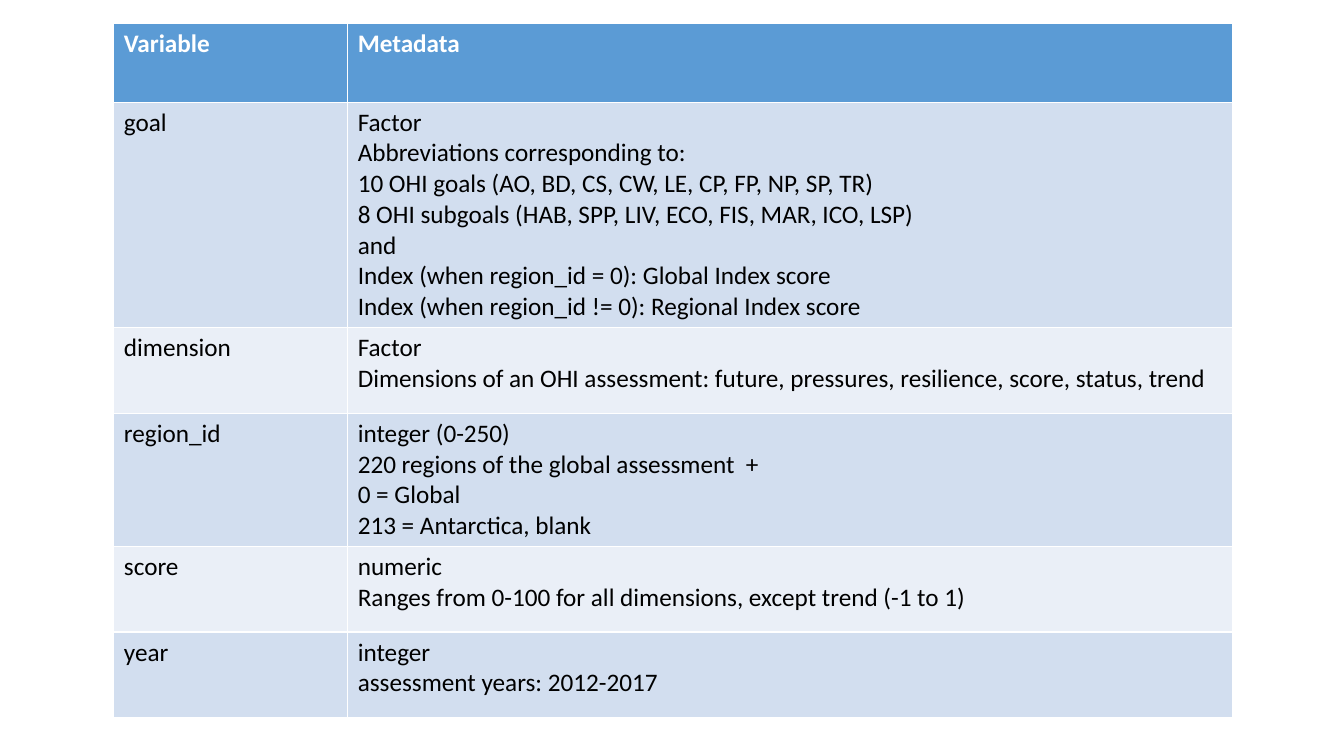
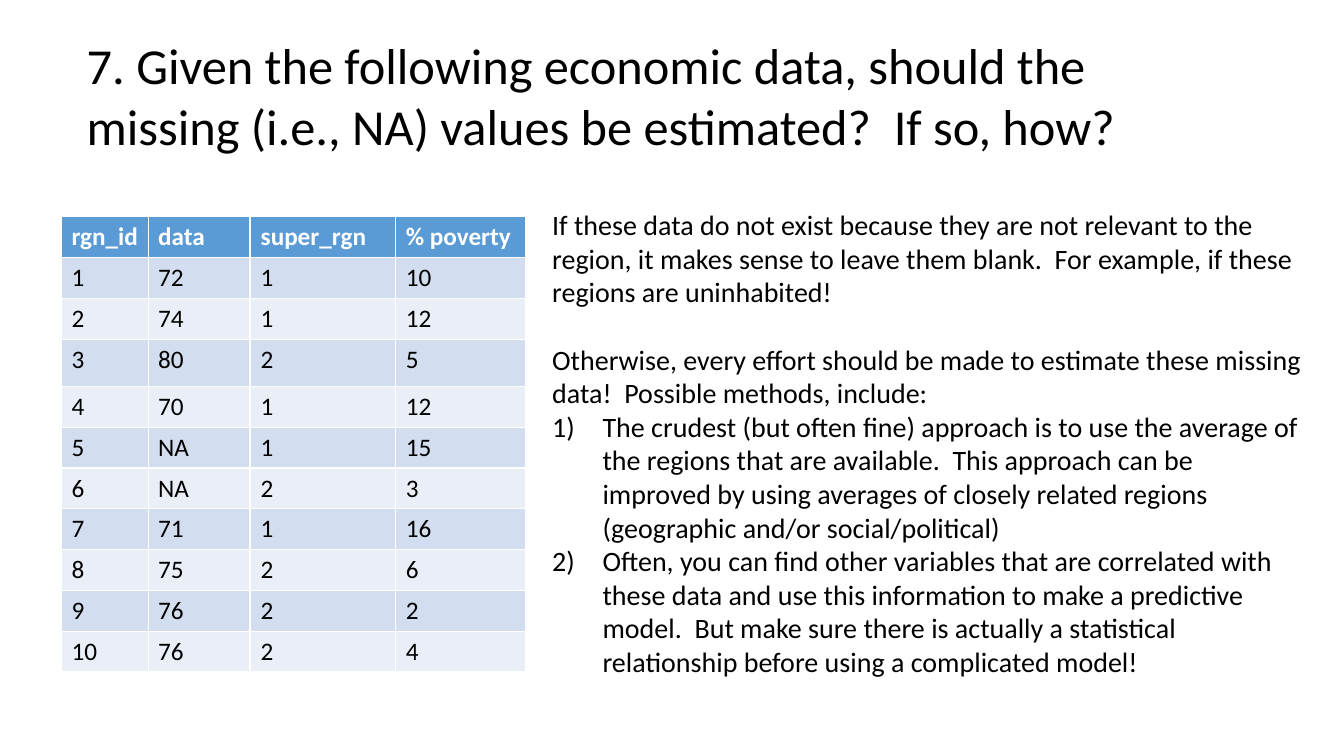
from lxml.etree import SubElement
from pptx import Presentation
from pptx.dml.color import RGBColor
from pptx.enum.text import MSO_ANCHOR, MSO_AUTO_SIZE, PP_ALIGN
from pptx.oxml.ns import qn
from pptx.util import Inches, Pt

BLACK = RGBColor(0x00, 0x00, 0x00)
WHITE = RGBColor(0xFF, 0xFF, 0xFF)
HEADER_BLUE = RGBColor(0x5B, 0x9B, 0xD5)
BAND_DARK = RGBColor(0xD2, 0xDE, 0xEF)
BAND_LIGHT = RGBColor(0xEA, 0xEF, 0xF7)

GRID_COLUMNS, GRID_ROWS = 80, 45
UNIT = Inches(7.5) / GRID_ROWS
TITLE_ONLY, BLANK = 5, 6

TITLE_FONT = {"name": "Calibri", "size": Pt(36), "bold": False}
BODY_FONT = {"name": "Calibri", "size": Pt(20), "bold": False}
CELL_FONT = {"name": "Calibri", "size": Pt(18), "bold": False}
HEADER_FONT = {**CELL_FONT, "bold": True}

METADATA = [
    ("Variable", "Metadata"),
    ("goal", "\n".join([
        "Factor",
        "Abbreviations corresponding to:",
        "10 OHI goals (AO, BD, CS, CW, LE, CP, FP, NP, SP, TR)",
        "8 OHI subgoals (HAB, SPP, LIV, ECO, FIS, MAR, ICO, LSP)",
        "and",
        "Index (when region_id = 0): Global Index score",
        "Index (when region_id != 0): Regional Index score",
    ])),
    ("dimension", "Factor\nDimensions of an OHI assessment: future, pressures, "
                  "resilience, score, status, trend"),
    ("region_id", "integer (0-250)\n220 regions of the global assessment  +\n"
                  "0 = Global\n213 = Antarctica, blank"),
    ("score", "numeric\nRanges from 0-100 for all dimensions, except trend (-1 to 1)"),
    ("year", "integer\nassessment years: 2012-2017"),
]

REGION_VALUES = [72, 74, 80, 70, "NA", "NA", 71, 75, 76, 76]
REGION_DATA = [("rgn_id", "data"), *enumerate(REGION_VALUES, start=1)]
POVERTY_DATA = [
    ("super_rgn", "% poverty"),
    (1, 10), (1, 12), (2, 5), (1, 12), (1, 15),
    (2, 3), (1, 16), (2, 6), (2, 2), (2, 4),
]

ANSWERS = [
    "If these data do not exist because they are not relevant to the region, it makes "
    "sense to leave them blank.  For example, if these regions are uninhabited!",
    "Otherwise, every effort should be made to estimate these missing data!  "
    "Possible methods, include:",
]
METHODS = [
    "The crudest (but often fine) approach is to use the average of the regions that are "
    "available.  This approach can be improved by using averages of closely related "
    "regions (geographic and/or social/political)",
    "Often, you can find other variables that are correlated with these data and use this "
    "information to make a predictive model.  But make sure there is actually a "
    "statistical relationship before using a complicated model!",
]


class Deck:
    """Holds the shared style and the current slide, measured in grid units."""

    def __init__(self):
        self.presentation = Presentation()
        self.presentation.slide_width = self.length(GRID_COLUMNS)
        self.presentation.slide_height = self.length(GRID_ROWS)
        self.slide = None

    def length(self, units):
        return round(units * UNIT)

    def add_slide(self, layout):
        self.slide = self.presentation.slides.add_slide(
            self.presentation.slide_layouts[layout])

    def format_font(self, font, values, color):
        for name, value in values.items():
            setattr(font, name, value)
        font.color.rgb = color

    def title(self, text, left, top, width, height):
        shape = self.slide.shapes.title
        place = {"left": left, "top": top, "width": width, "height": height}
        for name, units in place.items():
            setattr(shape, name, self.length(units))
        frame = shape.text_frame
        frame.text = text
        frame.auto_size = MSO_AUTO_SIZE.NONE
        frame.vertical_anchor = MSO_ANCHOR.TOP
        paragraph = frame.paragraphs[0]
        paragraph.alignment = PP_ALIGN.LEFT
        self.format_font(paragraph.runs[0].font, TITLE_FONT, BLACK)

    def table(self, cells, left, top, column_widths, row_heights):
        shape = self.slide.shapes.add_table(
            len(cells), len(column_widths), self.length(left), self.length(top),
            self.length(sum(column_widths)), self.length(sum(row_heights)))
        table = shape.table
        for column, width in zip(table.columns, column_widths):
            column.width = self.length(width)
        for index, (row, height, values) in enumerate(zip(table.rows, row_heights, cells)):
            row.height = self.length(height)
            band = BAND_DARK if index % 2 else BAND_LIGHT
            fill, font, color = ((band, CELL_FONT, BLACK) if index
                                 else (HEADER_BLUE, HEADER_FONT, WHITE))
            for cell, value in zip(row.cells, values):
                cell.text = str(value)
                cell.fill.solid()
                cell.fill.fore_color.rgb = fill
                for paragraph in cell.text_frame.paragraphs:
                    self.format_font(paragraph.runs[0].font, font, color)

    def text(self, paragraphs, numbered, left, top, width, height):
        shape = self.slide.shapes.add_textbox(
            *(self.length(units) for units in (left, top, width, height)))
        frame = shape.text_frame
        frame.word_wrap = True
        frame.text = "\n".join(paragraphs + numbered)
        for index, paragraph in enumerate(frame.paragraphs):
            self.format_font(paragraph.runs[0].font, BODY_FONT, BLACK)
            if index >= len(paragraphs):
                self.number(paragraph)
            elif index:
                paragraph.space_before = Pt(24)

    def number(self, paragraph):
        properties = paragraph._p.get_or_add_pPr()
        properties.set("marL", str(Inches(0.5)))
        properties.set("indent", str(-Inches(0.5)))
        SubElement(properties, qn("a:buFont")).set("typeface", "+mj-lt")
        SubElement(properties, qn("a:buAutoNum")).set("type", "arabicParenR")


def main():
    deck = Deck()

    deck.add_slide(BLANK)
    deck.table(METADATA, 6.78, 1.4, [13.92, 52.68], [4.68] + [5.1] * 5)

    deck.add_slide(TITLE_ONLY)
    deck.title("7. Given the following economic data, should the missing (i.e., NA) "
               "values be estimated?  If so, how?", 4.56, 1.74, 66.9, 7.86)
    deck.text(ANSWERS, METHODS, 32.28, 12.06, 45.96, 28.86)
    row_heights = [2.43] * 3 + [2.82] + [2.43] * 7
    deck.table(REGION_DATA, 3.66, 12.9, [5.16, 6.06], row_heights)
    deck.table(POVERTY_DATA, 14.92, 12.9, [8.64, 7.74], row_heights)

    deck.presentation.save("out.pptx")


if __name__ == "__main__":
    main()
